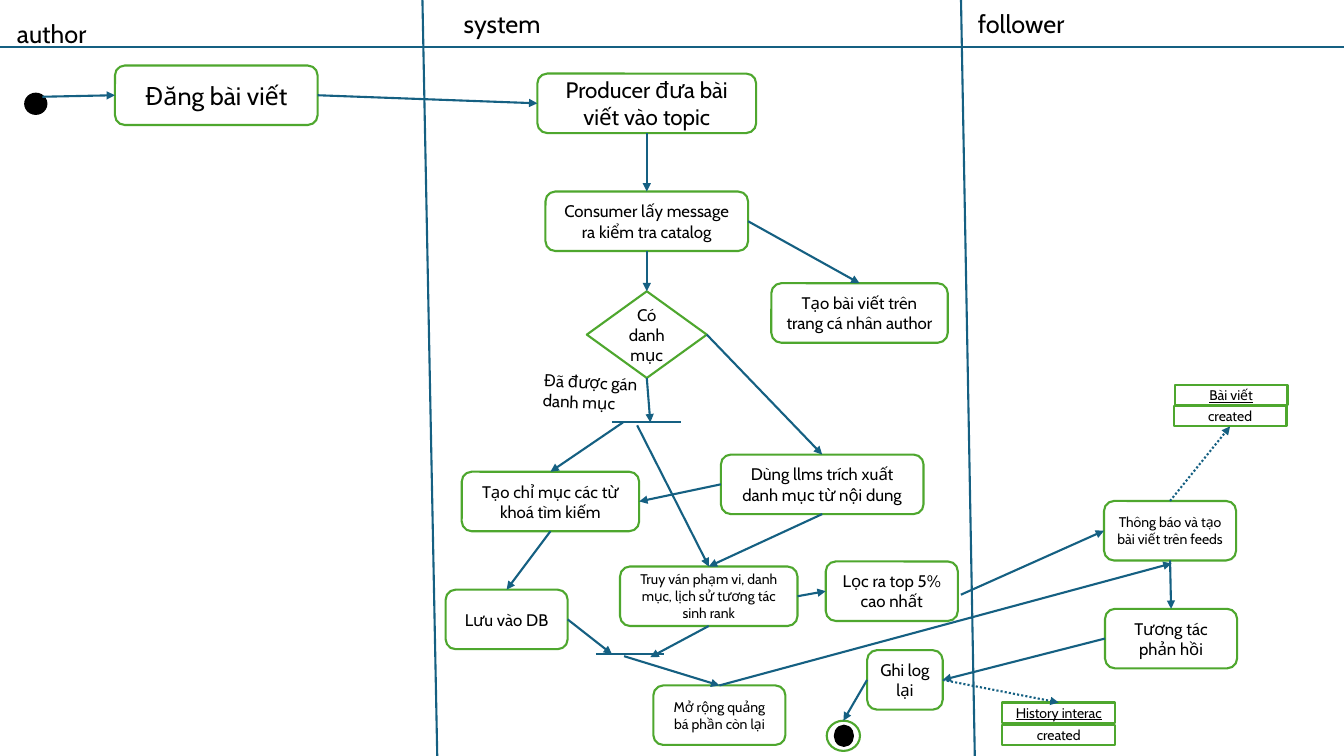
from dataclasses import dataclass

import pptx
import pptx.dml.color
import pptx.enum.dml
import pptx.enum.shapes
import pptx.enum.text
import pptx.oxml
import pptx.oxml.ns
import pptx.util
from pptx.util import Inches

SHAPE = pptx.enum.shapes.MSO_SHAPE
TOP, LEFT, BOTTOM, RIGHT = range(4)


@dataclass(frozen=True)
class Theme:
    font: str = "Cabin"
    ink: str = "000000"
    paper: str = "FFFFFF"
    flow: str = "156082"
    border: str = "4EA72E"
    heading: int = 18
    subheading: int = 16
    body: int = 12
    small: int = 10
    stroke: float = 1.5


THEME = Theme()


def rgb(value):
    return pptx.dml.color.RGBColor.from_string(value)


def style_paragraph(paragraph, size, underline=None):
    paragraph.font.name = THEME.font
    paragraph.font.size = pptx.util.Pt(size)
    paragraph.font.color.rgb = rgb(THEME.ink)
    paragraph.font.underline = underline


def add_label(slide, text, x, y, height, size, rotation=0):
    label = slide.shapes.add_textbox(Inches(x), Inches(y), Inches(3.66), Inches(height))
    label.rotation = rotation
    frame = label.text_frame
    frame.word_wrap = True
    frame.auto_size = pptx.enum.text.MSO_AUTO_SIZE.SHAPE_TO_FIT_TEXT
    frame.text = text
    for paragraph in frame.paragraphs:
        style_paragraph(paragraph, size)


def add_outline(slide, kind, x, y, width, height, fill=THEME.paper, border=THEME.border):
    outline = slide.shapes.add_shape(kind, Inches(x), Inches(y), Inches(width), Inches(height))
    outline.shadow.inherit = False
    outline.fill.solid()
    outline.fill.fore_color.rgb = rgb(fill)
    outline.line.color.rgb = rgb(border)
    outline.line.width = pptx.util.Pt(THEME.stroke)
    return outline


def add_node(slide, text, x, y, width, height=0.59, size=THEME.body,
             kind=SHAPE.ROUNDED_RECTANGLE, underline=None):
    node = add_outline(slide, kind, x, y, width, height)
    frame = node.text_frame
    frame.word_wrap = True
    frame.margin_top = frame.margin_bottom = 0
    frame.vertical_anchor = pptx.enum.text.MSO_ANCHOR.MIDDLE
    frame.text = text
    frame.paragraphs[0].alignment = pptx.enum.text.PP_ALIGN.CENTER
    style_paragraph(frame.paragraphs[0], size, underline)
    return node


def add_dot(slide, x, y, width, height):
    return add_outline(slide, SHAPE.OVAL, x, y, width, height, THEME.ink, THEME.ink)


def add_object(slide, name, name_at, state_at):
    """Draw an object box: underlined name above its state."""
    return [
        add_node(slide, text, x, y, 1.12, 0.2, THEME.small, SHAPE.RECTANGLE, underline)
        for text, (x, y), underline in ((name, name_at, True), ("created", state_at, None))
    ]


def add_line(slide, start, end):
    """Draw a line; each end is an (x, y) point or a (shape, side) pair."""
    joined = [not isinstance(place[0], (int, float)) for place in (start, end)]
    points = [(0, 0) if join else place for join, place in zip(joined, (start, end))]
    line = slide.shapes.add_connector(
        pptx.enum.shapes.MSO_CONNECTOR.STRAIGHT,
        *(Inches(value) for point in points for value in point))
    if joined[0]:
        line.begin_connect(*start)
    if joined[1]:
        line.end_connect(*end)
    line.line.color.rgb = rgb(THEME.flow)
    line.line.width = pptx.util.Pt(THEME.stroke)
    properties = line._element.spPr
    properties.append(pptx.oxml.parse_xml(
        f"<a:effectLst {pptx.oxml.ns.nsdecls('a')}/>"))
    return line


def add_arrow(slide, start, end, dotted=False):
    arrow = add_line(slide, start, end)
    if dotted:
        arrow.line.dash_style = pptx.enum.dml.MSO_LINE.ROUND_DOT
    arrow.line._get_or_add_ln().append(pptx.oxml.parse_xml(
        f"<a:tailEnd {pptx.oxml.ns.nsdecls('a')} type='triangle'/>"))


def add_lanes(slide):
    for start, end in (((0, 0.47), (13.33, 0.47)),
                       ((4.19, 0), (4.34, 7.66)),
                       ((9.53, -0.08), (9.67, 7.58))):
        add_line(slide, start, end)
    for role, x, y in (("author", 0.07, 0.13), ("system", 4.5, 0.03), ("follower", 9.6, 0.03)):
        add_label(slide, role, x, y, 0.4, THEME.heading)


def add_activities(slide):
    post = add_node(slide, "Đăng bài viết", 1.14, 0.65, 2.01, size=THEME.heading)
    producer = add_node(slide, "Producer đưa bài viết vào topic", 5.33, 0.73, 2.17,
                        size=THEME.subheading)
    consumer = add_node(slide, "Consumer lấy message ra kiểm tra catalog", 5.41, 1.9, 2.01)
    profile = add_node(slide, "Tạo bài viết trên trang cá nhân author", 7.65, 2.81, 1.75)
    decision = add_node(slide, "Có danh mục", 5.82, 2.89, 1.19, 0.86, kind=SHAPE.DIAMOND)
    extract = add_node(slide, "Dùng llms trích xuất danh mục từ nội dung", 7.15, 4.51, 2.01)
    index = add_node(slide, "Tạo chỉ mục các từ khoá tìm kiếm", 4.58, 4.68, 1.76)
    rank = add_node(slide, "Truy ván phạm vi, danh mục, lịch sử tương tác sinh rank",
                    6.15, 5.62, 1.76, size=THEME.small)
    store = add_node(slide, "Lưu vào DB", 4.42, 5.85, 1.21)
    top_five = add_node(slide, "Lọc ra top 5% cao nhất", 8.19, 5.57, 1.31)
    notify = add_node(slide, "Thông báo và tạo bài viết trên feeds", 10.95, 4.97, 1.31,
                      size=THEME.small)
    respond = add_node(slide, "Tương tác phản hồi", 10.96, 6.04, 1.31)
    expand = add_node(slide, "Mở rộng quảng bá phần còn lại", 6.48, 6.8, 1.31,
                      size=THEME.small)
    log = add_node(slide, "Ghi log lại", 8.6, 6.45, 0.75)
    history, _ = add_object(slide, "History interac", (9.94, 6.97), (9.94, 7.19))
    _, article_state = add_object(slide, "Bài viết", (11.65, 3.82), (11.64, 4.03))
    add_label(slide, "Đã được gán\ndanh mục", 5.29, 3.7, 0.5, THEME.body, rotation=2.6)

    add_dot(slide, 0.25, 0.93, 0.21, 0.2)
    finish = add_outline(slide, SHAPE.OVAL, 8.2, 7.15, 0.33, 0.3)
    add_dot(slide, 8.28, 7.2, 0.18, 0.2)

    for bar_x, bar_y in ((6.07, 4.19), (5.91, 6.49)):
        add_line(slide, (bar_x, bar_y), (bar_x + 0.68, bar_y))

    for start, end in (
        ((0.42, 0.96), (post, LEFT)),
        ((post, RIGHT), (producer, LEFT)),
        ((producer, BOTTOM), (consumer, TOP)),
        ((consumer, RIGHT), (profile, TOP)),
        ((consumer, BOTTOM), (decision, TOP)),
        ((decision, RIGHT), (extract, TOP)),
        ((decision, BOTTOM), (6.45, 4.19)),
        ((6.18, 4.19), (index, TOP)),
        ((6.32, 4.22), (rank, TOP)),
        ((extract, LEFT), (index, RIGHT)),
        ((extract, BOTTOM), (rank, TOP)),
        ((index, BOTTOM), (store, TOP)),
        ((rank, RIGHT), (top_five, LEFT)),
        ((store, RIGHT), (6.07, 6.49)),
        ((rank, BOTTOM), (6.45, 6.52)),
        ((6.19, 6.51), (expand, TOP)),
        ((9.53, 5.9), (notify, LEFT)),
        ((expand, TOP), (11.62, 5.59)),
        ((notify, BOTTOM), (respond, TOP)),
        ((respond, LEFT), (log, RIGHT)),
        ((log, LEFT), (finish, TOP)),
    ):
        add_arrow(slide, start, end)
    add_arrow(slide, (log, RIGHT), (history, TOP), dotted=True)
    add_arrow(slide, (notify, TOP), (article_state, BOTTOM), dotted=True)


def main():
    deck = pptx.Presentation()
    deck.slide_width = Inches(13.33)
    deck.slide_height = Inches(7.5)
    slide = deck.slides.add_slide(deck.slide_layouts.get_by_name("Blank"))
    add_lanes(slide)
    add_activities(slide)
    deck.save("out.pptx")


if __name__ == "__main__":
    main()
